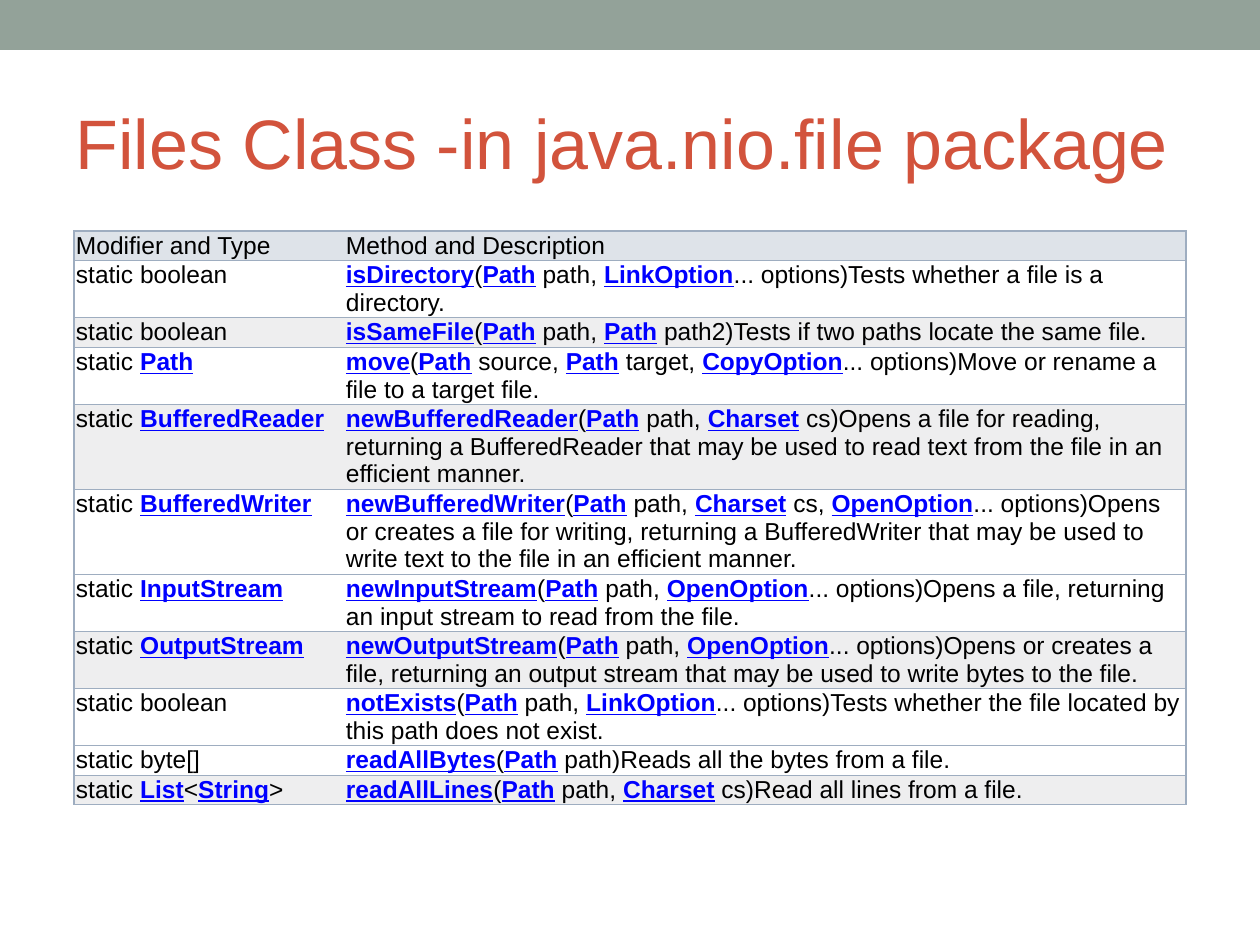
from lxml import etree
from pptx import Presentation
from pptx import util as u
from pptx.dml.color import RGBColor
from pptx.enum import shapes, text
from pptx.oxml.ns import qn

PX = u.Inches(1) / 126
FONT = "Arial"
COLORS = {
    "band": "93A299",
    "title": "D2533C",
    "header": "DEE3E9",
    "plain": "FFFFFF",
    "shaded": "EEEEEF",
    "border": "9EADC0",
    "body": "000000",
    "link": "0000FF",
}
COLUMN_WIDTHS = (270, 842)
METHODS = [
    ("header", 1, "Modifier and Type", "Method and Description"),
    ("plain", 2, "static boolean",
     "*isDirectory*(*Path* path, *LinkOption*... options)Tests whether a file is a directory."),
    ("shaded", 1, "static boolean",
     "*isSameFile*(*Path* path, *Path* path2)Tests if two paths locate the same file."),
    ("plain", 2, "static *Path*",
     "*move*(*Path* source, *Path* target, *CopyOption*... options)Move or rename a file "
     "to a target file."),
    ("shaded", 3, "static *BufferedReader*",
     "*newBufferedReader*(*Path* path, *Charset* cs)Opens a file for reading, returning "
     "a BufferedReader that may be used to read text from the file in an efficient manner."),
    ("plain", 3, "static *BufferedWriter*",
     "*newBufferedWriter*(*Path* path, *Charset* cs, *OpenOption*... options)Opens or creates "
     "a file for writing, returning a BufferedWriter that may be used to write text to the file "
     "in an efficient manner."),
    ("plain", 2, "static *InputStream*",
     "*newInputStream*(*Path* path, *OpenOption*... options)Opens a file, returning "
     "an input stream to read from the file."),
    ("shaded", 2, "static *OutputStream*",
     "*newOutputStream*(*Path* path, *OpenOption*... options)Opens or creates a file, returning "
     "an output stream that may be used to write bytes to the file."),
    ("plain", 2, "static boolean",
     "*notExists*(*Path* path, *LinkOption*... options)Tests whether the file located by "
     "this path does not exist."),
    ("plain", 1, "static byte[]",
     "*readAllBytes*(*Path* path)Reads all the bytes from a file."),
    ("shaded", 1, "static *List*<*String*>",
     "*readAllLines*(*Path* path, *Charset* cs)Read all lines from a file."),
]


def px(length):
    return u.Emu(round(length * PX))


def rgb(name):
    return RGBColor.from_string(COLORS[name])


def add_band(slide):
    band = slide.shapes.add_shape(shapes.MSO_SHAPE.RECTANGLE, 0, 0, px(1260), px(50))
    band.shadow.inherit = False
    band.fill.solid()
    band.fill.fore_color.rgb = rgb("band")
    band.line.fill.background()


def set_title(slide, wording):
    title = slide.shapes.title
    title.left, title.top, title.width, title.height = map(px, (63, 73, 1134, 136))
    frame = title.text_frame
    frame.text = wording
    frame.word_wrap = True
    frame.auto_size = text.MSO_AUTO_SIZE.NONE
    frame.vertical_anchor = text.MSO_ANCHOR.MIDDLE
    heading = frame.paragraphs[0]
    heading.alignment = text.PP_ALIGN.LEFT
    heading.font.name = FONT
    heading.font.size = u.Pt(40)
    heading.font.color.rgb = rgb("title")


def set_borders(cell, visible):
    properties = cell._tc.get_or_add_tcPr()
    for side in ("lnL", "lnR", "lnT", "lnB"):
        edge = etree.SubElement(properties, qn(f"a:{side}"), w=str(u.Pt(0.75)))
        if side in visible:
            stroke = etree.SubElement(edge, qn("a:solidFill"))
            etree.SubElement(stroke, qn("a:srgbClr"), val=COLORS["border"])
        else:
            etree.SubElement(edge, qn("a:noFill"))


def write_signature(cell, wording):
    signature = cell.text_frame.paragraphs[0]
    signature.font.name = FONT
    signature.font.size = u.Pt(14)
    for position, part in enumerate(wording.split("*")):
        if not part:
            continue
        is_link = position % 2 == 1
        run = signature.add_run()
        run.text = part
        run.font.bold = is_link
        run.font.underline = is_link
        run.font.color.rgb = rgb("link" if is_link else "body")


def fill_cell(cell, wording, fill, outer_side):
    cell.margin_left = px(2)
    cell.margin_right = cell.margin_top = cell.margin_bottom = px(1)
    set_borders(cell, (outer_side, "lnT", "lnB"))
    cell.fill.solid()
    cell.fill.fore_color.rgb = rgb(fill)
    write_signature(cell, wording)


def add_methods_table(slide):
    heights = [1 + 28 * lines for _, lines, _, _ in METHODS]
    methods = slide.shapes.add_table(
        len(METHODS), len(COLUMN_WIDTHS),
        px(74), px(231), px(sum(COLUMN_WIDTHS)), px(sum(heights)),
    ).table
    methods.first_row = methods.horz_banding = False
    for column, width in zip(methods.columns, COLUMN_WIDTHS):
        column.width = px(width)
    for row, height, (fill, _, modifier, description) in zip(methods.rows, heights, METHODS):
        row.height = px(height)
        fill_cell(row.cells[0], modifier, fill, "lnL")
        fill_cell(row.cells[1], description, fill, "lnR")


def main():
    deck = Presentation()
    deck.slide_width, deck.slide_height = px(1260), px(945)
    slide = deck.slides.add_slide(deck.slide_layouts[5])
    add_band(slide)
    set_title(slide, "Files Class -in java.nio.file package")
    add_methods_table(slide)
    deck.save("out.pptx")


if __name__ == "__main__":
    main()
